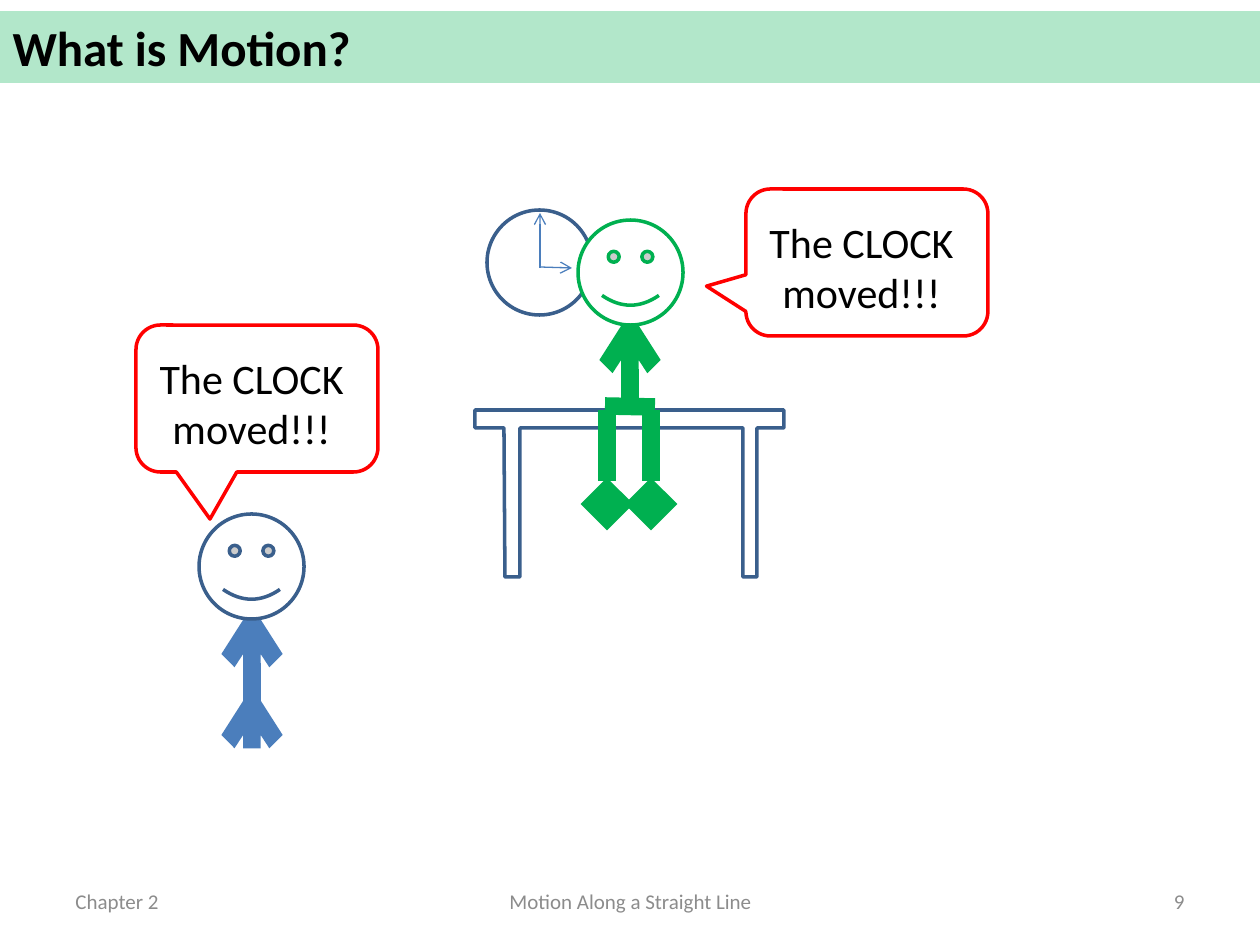
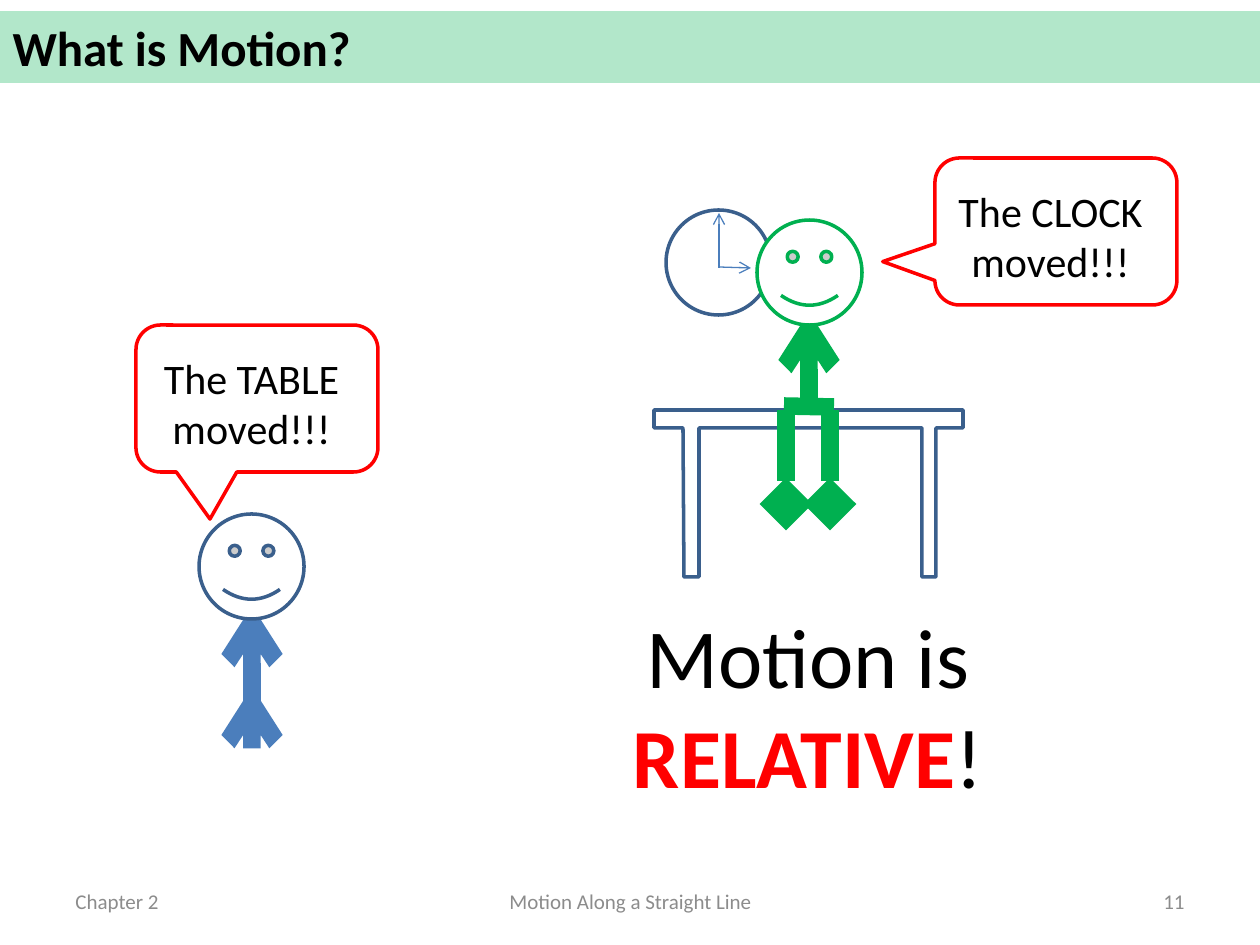
"""Build two slides on relative motion: two observers, a clock and a table."""
import pptx
import pptx.util
import pptx.oxml
import pptx.oxml.ns
import pptx.dml.color
import pptx.enum.shapes
import pptx.enum.text
from lxml import etree

RGB = pptx.dml.color.RGBColor
BLACK = RGB(0x00, 0x00, 0x00)
WHITE = RGB(0xFF, 0xFF, 0xFF)
GREY = RGB(0x8C, 0x8C, 0x8C)
RED = RGB(0xFF, 0x00, 0x00)
GREEN = RGB(0x00, 0xB0, 0x50)
BLUE = RGB(0x4B, 0x7E, 0xBC)
NAVY = RGB(0x3A, 0x5F, 0x8C)
FONT = "Calibri"
SCALE = 914400 / 126
ALIGN = pptx.enum.text.PP_ALIGN
ANCHOR = pptx.enum.text.MSO_ANCHOR
PRESET = pptx.enum.shapes.MSO_SHAPE
STRAIGHT = pptx.enum.shapes.MSO_CONNECTOR.STRAIGHT
qn = pptx.oxml.ns.qn


def px(*lengths):
    return [pptx.util.Emu(round(length * SCALE)) for length in lengths]


def write(box, text, size, color=BLACK, bold=False, align=ALIGN.CENTER,
          anchor=ANCHOR.TOP, emphasis=None):
    frame = box.text_frame
    frame.word_wrap = True
    frame.auto_size = pptx.enum.text.MSO_AUTO_SIZE.NONE
    frame.vertical_anchor = anchor
    paragraph = frame.paragraphs[0]
    paragraph.alignment = align
    for piece in text.partition(emphasis) if emphasis else [text]:
        run = paragraph.add_run()
        run.text = piece
        run.font.name = FONT
        run.font.size = pptx.util.Pt(size)
        run.font.bold = bold or piece == emphasis
        run.font.color.rgb = RED if piece == emphasis else color


deck = pptx.Presentation()
deck.slide_width, deck.slide_height = px(1260, 945)

TABLE_OUTLINE = [(475, 428), (504, 428), (505, 577), (520, 577), (520, 428),
                 (743, 428), (743, 577), (757, 577), (757, 428), (784, 428),
                 (784, 410)]

SCENES = [
    dict(number="9", shift=0, standing="The CLOCK moved!!!",
         sitting_bubble=(746, 189), sitting_tail=(-0.663, 0.161), moral=None),
    dict(number="11", shift=179, standing="The TABLE moved!!!",
         sitting_bubble=(935, 158), sitting_tail=(-0.716, 0.205),
         moral="Motion is RELATIVE!"),
]

for scene in SCENES:
    slide = deck.slides.add_slide(deck.slide_layouts[5])
    shift = scene["shift"]

    title = slide.shapes.title
    title.left, title.top, title.width, title.height = px(0, 11, 1260, 72)
    title.fill.solid()
    title.fill.fore_color.rgb = GREEN
    band_color = title.fill._xPr.find(qn("a:solidFill"))[0]
    etree.SubElement(band_color, qn("a:alpha"), val="30000")
    write(title, "What is Motion?", 28, bold=True, align=ALIGN.JUSTIFY)

    outline = slide.shapes.build_freeform(475 + shift, 410, scale=SCALE)
    outline.add_line_segments([(x + shift, y) for x, y in TABLE_OUTLINE])
    table = outline.convert_to_shape()
    table.shadow.inherit = False
    table.fill.background()
    table.line.color.rgb = NAVY
    table.line.width = pptx.util.Pt(2)

    strokes = [
        (540 + shift, 268, 540 + shift, 213, BLUE, 0.75, "arrow"),
        (540 + shift, 267, 572 + shift, 268, BLUE, 0.75, "arrow"),
        (252, 704, 252, 606, BLUE, 10, "arrow"),
        (252, 699, 252, 687, BLUE, 10, "arrow"),
        (630 + shift, 411, 630 + shift, 312, GREEN, 10, "arrow"),
        (607 + shift, 410, 607 + shift, 504, GREEN, 10, "diamond"),
        (651 + shift, 410, 651 + shift, 504, GREEN, 10, "diamond"),
        (605 + shift, 406, 655 + shift, 407, GREEN, 10, None),
    ]
    for *ends, color, weight, head in strokes:
        stroke = slide.shapes.add_connector(STRAIGHT, *px(*ends))
        stroke.line.color.rgb = color
        stroke.line.width = pptx.util.Pt(weight)
        if head:
            etree.SubElement(stroke.line._get_or_add_ln(), qn("a:tailEnd"), type=head)
        etree.SubElement(stroke._element.spPr, qn("a:effectLst"))

    bubbles = [((136, 325), (-0.194, 0.82), scene["standing"]),
               (scene["sitting_bubble"], scene["sitting_tail"], "The CLOCK moved!!!")]
    figures = [
        (PRESET.OVAL, (487 + shift, 210, 105, 105), NAVY, None, ()),
        (PRESET.SMILEY_FACE, (199, 514, 105, 105), NAVY, WHITE, ()),
        (PRESET.SMILEY_FACE, (578 + shift, 220, 105, 105), GREEN, WHITE, ()),
    ]
    for corner, tail, speech in bubbles:
        figures.append((PRESET.ROUNDED_RECTANGULAR_CALLOUT, (*corner, 242, 147),
                        RED, None, (*tail, 0.167)))
    for preset, place, color, fill, adjustments in figures:
        figure = slide.shapes.add_shape(preset, *px(*place))
        figure.shadow.inherit = False
        if fill is None:
            figure.fill.background()
        else:
            figure.fill.solid()
            figure.fill.fore_color.rgb = fill
        figure.line.color.rgb = color
        figure.line.width = pptx.util.Pt(2)
        for index, value in enumerate(adjustments):
            figure.adjustments[index] = value

    for (left, top), tail, speech in bubbles:
        write(slide.shapes.add_textbox(*px(left, top + 21, 231, 115)), speech, 24)

    if scene["moral"]:
        moral = slide.shapes.add_textbox(*px(614, 598, 388, 217))
        write(moral, scene["moral"], 48, emphasis="RELATIVE")

    footers = [(63, 294, "Chapter 2", ALIGN.LEFT),
               (431, 399, "Motion Along a Straight Line", ALIGN.CENTER),
               (903, 294, scene["number"], ALIGN.RIGHT)]
    for left, width, label, align in footers:
        footer = slide.shapes.add_textbox(*px(left, 876, width, 50))
        write(footer, label, 12, color=GREY, align=align, anchor=ANCHOR.MIDDLE)

deck.save("out.pptx")
